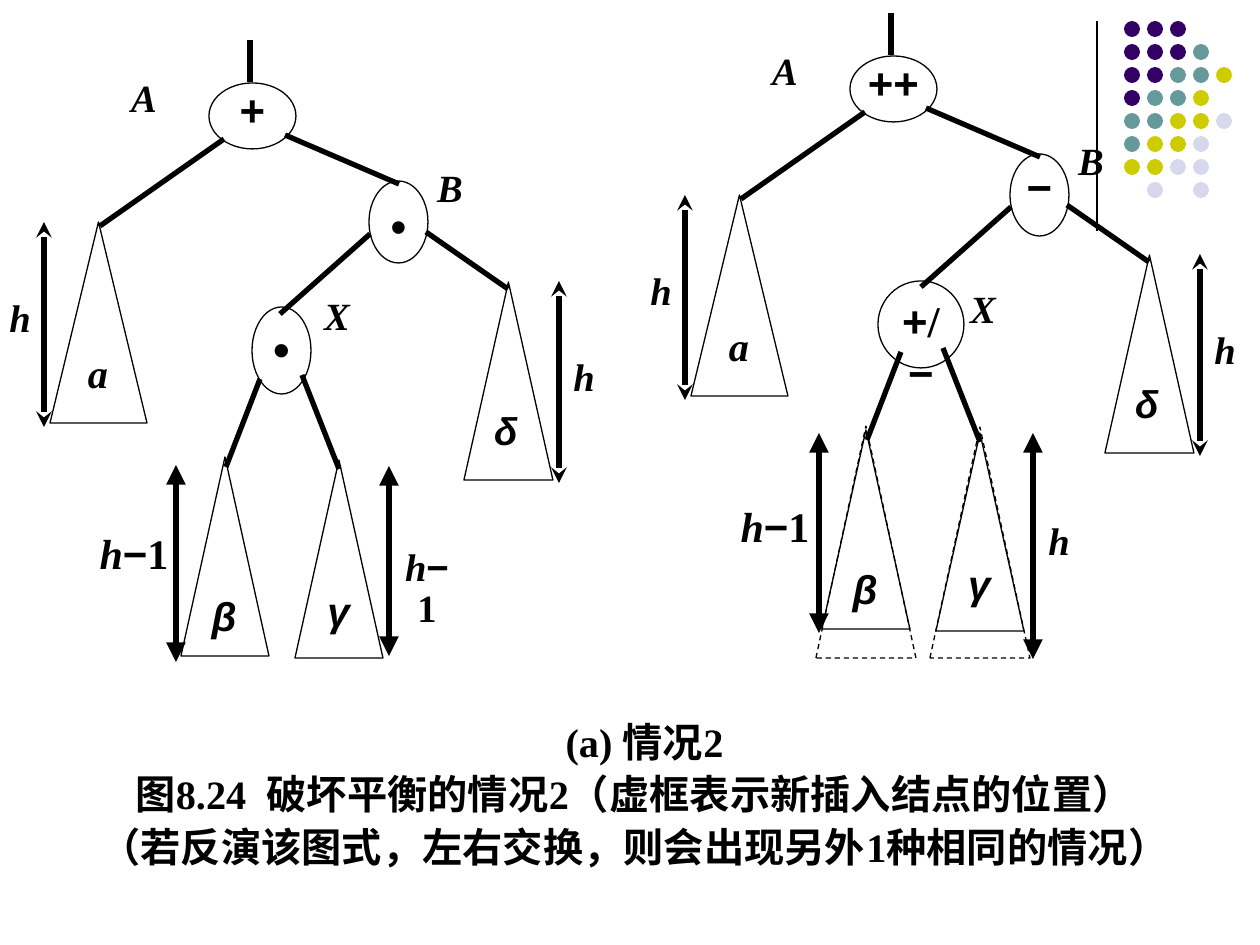
from dataclasses import dataclass
from itertools import groupby

from lxml.etree import SubElement
from pptx import Presentation
from pptx.dml.color import RGBColor
from pptx.enum.dml import MSO_LINE
from pptx.enum.shapes import MSO_CONNECTOR, MSO_SHAPE
from pptx.enum.text import MSO_ANCHOR, PP_ALIGN
from pptx.oxml.ns import qn
from pptx.util import Pt

PX = 914400 // 126


@dataclass(frozen=True)
class Theme:
    ink: str = "000000"
    dots = {"P": "330066", "T": "669999", "Y": "CCCC00", "L": "D8D8EC"}
    latin: str = "Times New Roman"
    symbol: str = "Arial"
    label: int = 22
    subtree: int = 23
    height: int = 24
    node: int = 25
    bullet: int = 28
    caption: int = 23
    thin: float = 0.74
    edge: float = 3
    heavy: float = 3.74


THEME = Theme()


def rgb(value):
    return RGBColor.from_string(value)


def add_line(slide, x1, y1, x2, y2, width=THEME.edge, head=None):
    line = slide.shapes.add_connector(
        MSO_CONNECTOR.STRAIGHT, x1 * PX, y1 * PX, x2 * PX, y2 * PX)
    line.line.color.rgb = rgb(THEME.ink)
    line.line.width = Pt(width)
    properties = line.line._get_or_add_ln()
    if head:
        for end in ("a:headEnd", "a:tailEnd"):
            SubElement(properties, qn(end), type=head)
    SubElement(properties.getparent(), qn("a:effectLst"))


def add_outline(slide, kind, x, y, w, h, dashed=False):
    outline = slide.shapes.add_shape(kind, x * PX, y * PX, w * PX, h * PX)
    outline.shadow.inherit = False
    outline.fill.background()
    outline.line.color.rgb = rgb(THEME.ink)
    outline.line.width = Pt(THEME.thin)
    if dashed:
        outline.line.dash_style = MSO_LINE.DASH
    return outline


def prepare(frame):
    frame.margin_left = frame.margin_right = 0
    frame.margin_top = frame.margin_bottom = 0
    frame.vertical_anchor = MSO_ANCHOR.TOP
    frame.word_wrap = True


def style(run, size, font, bold=True, italic=False):
    run.font.size = Pt(size)
    run.font.name = font
    run.font.bold = bold
    run.font.italic = italic
    run.font.color.rgb = rgb(THEME.ink)


def char_style(char):
    """Letters are italic; Greek letters and operators use the symbol font."""
    latin = char.isascii() and char != "+"
    return (THEME.latin if latin else THEME.symbol), char.isalpha()


def write_math(frame, text, size, spacing, bold=True):
    prepare(frame)
    paragraph = frame.paragraphs[0]
    paragraph.alignment = PP_ALIGN.CENTER
    paragraph.line_spacing = spacing
    for (font, italic), chars in groupby(text, char_style):
        run = paragraph.add_run()
        run.text = "".join(chars)
        style(run, size, font, bold, italic)


def add_label(slide, text, x, y, w=34, h=44, size=THEME.label, spacing=0.9):
    label = slide.shapes.add_textbox(x * PX, y * PX, w * PX, h * PX)
    write_math(label.text_frame, text, size, spacing)


def add_dots(slide, left, top):
    """Corner ornament: a rule and a grid of dots."""
    add_line(slide, left, top, left, top + 210, THEME.thin)
    rows = ("PPP", "PPPT", "PPTTY", "PTTY", "TTYYL", "TYYL", "YYLL", " L L")
    pitch, size = 23, 16
    for row, colours in enumerate(rows):
        for column, key in enumerate(colours):
            if key == " ":
                continue
            dot = slide.shapes.add_shape(
                MSO_SHAPE.OVAL, (left + 27 + column * pitch) * PX,
                (top + row * pitch) * PX, size * PX, size * PX)
            dot.shadow.inherit = False
            dot.fill.solid()
            dot.fill.fore_color.rgb = rgb(THEME.dots[key])
            dot.line.fill.background()


def add_tree(slide, left, top, nodes, x_label, beta_span, gamma_height, dashed=()):
    """One AVL tree, placed relative to the box corner (left, top)."""
    # Stem and edges
    edges = (
        (250, 0, 250, 42),
        (224, 99, 100, 186), (285, 95, 399, 144),
        (370, 194, 280, 274), (426, 192, 508, 249),
        (260, 339, 226, 427), (302, 335, 339, 429),
    )
    for x1, y1, x2, y2 in edges:
        add_line(slide, left + x1, top + y1, left + x2, top + y2)

    # Nodes A, B and X
    for (x, y, w, h), text, size, spacing, bold in nodes:
        node = add_outline(slide, MSO_SHAPE.OVAL, left + x, top + y, w, h)
        write_math(node.text_frame, text, size, spacing, bold)

    # Subtrees, with dashed outlines for the inserted node
    subtrees = ((50, 182, 97, 201), (464, 242, 89, 198),
                (181, 417, 88, 199), (295, 420, 88, 198))
    for boxes, is_dashed in ((subtrees, False), (dashed, True)):
        for x, y, w, h in boxes:
            add_outline(slide, MSO_SHAPE.ISOSCELES_TRIANGLE,
                        left + x, top + y, w, h, is_dashed)

    # Height arrows
    gamma_span, gamma_label = gamma_height
    arrows = (
        ((44, 182, 387), THEME.edge, "stealth"),
        ((559, 241, 443), THEME.edge, "stealth"),
        (beta_span, THEME.heavy, "triangle"),
        (gamma_span, THEME.heavy, "triangle"),
    )
    for (x, start, end), width, head in arrows:
        add_line(slide, left + x, top + start, left + x, top + end, width, head)

    # Names of nodes, subtrees and heights
    labels = (
        ("A", 127, 39), ("B", 433, 129), ("X", *x_label),
        ("a", 81, 314, 34, 44, THEME.subtree),
        ("β", 203, 557, 42, 44, THEME.subtree),
        ("γ", 321, 550, 35, 49, THEME.subtree, 0.96),
        ("δ", 489, 372),
        ("h", 3, 259), ("h", 567, 318),
        ("h−1", 97, 493, 74, 44, THEME.height), gamma_label,
    )
    for text, x, y, *rest in labels:
        add_label(slide, text, left + x, top + y, *rest)


def add_caption(slide, left, top, width, height):
    frame = slide.shapes.add_textbox(
        left * PX, top * PX, width * PX, height * PX).text_frame
    prepare(frame)
    frame.text = "\n".join((
        "(a) 情况2",
        "图8.24\u2002破坏平衡的情况2（虚框表示新插入结点的位置）",
        "（若反演该图式，左右交换，则会出现另外1种相同的情况）",
    ))
    for paragraph in frame.paragraphs:
        paragraph.alignment = PP_ALIGN.CENTER
        paragraph.line_spacing = Pt(30)
        for run in paragraph.runs:
            style(run, THEME.caption, THEME.latin)
    frame.paragraphs[0]._p.get_or_add_pPr().set("marL", str(20 * PX))


presentation = Presentation()
presentation.slide_width = 1260 * PX
presentation.slide_height = 945 * PX
slide = presentation.slides.add_slide(presentation.slide_layouts[6])

add_dots(slide, 1097, 21)

node_a = (209, 43, 87, 66)
node_b = (369, 141, 59, 82)

# Tree after the insertion
add_tree(
    slide, 641, 13,
    nodes=((node_a, "++", THEME.node, 0.8, True),
           (node_b, "−", THEME.node, 0.9, True),
           ((237, 268, 86, 87), "+/−", THEME.node, Pt(30), True)),
    x_label=(325, 277), beta_span=(178, 420, 620),
    gamma_height=((392, 420, 646), ("h", 401, 509)),
    dashed=((175, 413, 100, 232), (289, 414, 100, 231)))

# Tree before the insertion
add_tree(
    slide, 0, 40,
    nodes=((node_a, "+", THEME.node, 0.8, True),
           (node_b, "•", THEME.node, Pt(33), True),
           ((252, 267, 59, 87), "•", THEME.bullet, Pt(33), False)),
    x_label=(320, 257), beta_span=(176, 425, 622),
    gamma_height=((389, 426, 616), ("h−1", 396, 508, 62)))

add_caption(slide, 69, 713, 1131, 159)

presentation.save("out.pptx")
